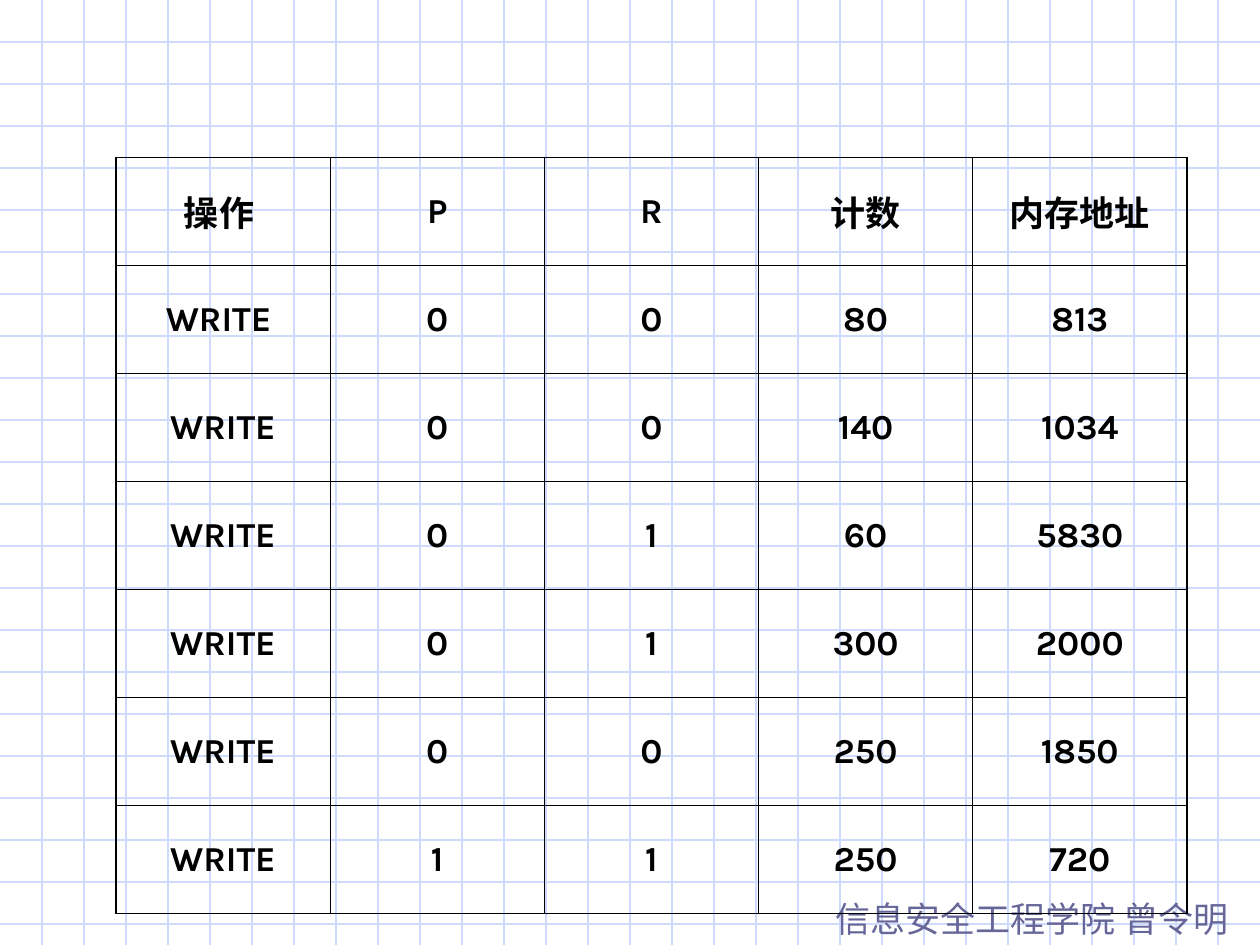
from lxml import etree
from pptx import Presentation
from pptx import util as u
from pptx.dml.color import RGBColor
from pptx.enum import shapes, text
from pptx.oxml import ns

GRID_BLUE = RGBColor(0xCF, 0xDB, 0xFD)
FOOTER_PURPLE = RGBColor(0x66, 0x66, 0x99)
BLACK = RGBColor(0, 0, 0)
WIDTH, HEIGHT = 10, 7.5
ROWS = [
    ["操作 ", "P", "R", "计数", "内存地址"],
    ["WRITE ", "0", "0", "80", "813"],
    ["WRITE", "0", "0", "140", "1034"],
    ["WRITE", "0", "1", "60", "5830"],
    ["WRITE", "0", "1", "300", "2000"],
    ["WRITE", "0", "0", "250", "1850"],
    ["WRITE", "1", "1", "250", "720"],
]


def write(para, words, color, **font_format):
    span = para.add_run()
    span.text = words
    span.font.color.rgb = color
    for name, value in font_format.items():
        setattr(span.font, name, value)
    east_asian = etree.SubElement(span.font._element, ns.qn("a:ea"))
    east_asian.set("typeface", "Noto Sans CJK JP")


def draw_border(cell, order, side, width):
    border = etree.Element(ns.qn(f"a:ln{side}"), w=str(u.Pt(width)))
    fill = etree.SubElement(border, ns.qn("a:solidFill"))
    etree.SubElement(fill, ns.qn("a:srgbClr"), val=str(BLACK))
    cell._tc.get_or_add_tcPr().insert(order, border)


deck = Presentation()
deck.slide_width, deck.slide_height = u.Inches(WIDTH), u.Inches(HEIGHT)
page = deck.slides.add_slide(deck.slide_layouts[6])

grid = page.shapes.add_group_shape()
grid_lines = [(0, step / 3, WIDTH, step / 3) for step in range(1, 23)]
grid_lines += [(step / 3, 0, step / 3, HEIGHT) for step in range(1, 30)]
for ends in grid_lines:
    line = grid.shapes.add_connector(
        shapes.MSO_CONNECTOR.STRAIGHT, *[u.Inches(end) for end in ends])
    line.line.color.rgb = GRID_BLUE
    line.line.width = u.Pt(0.75)
    etree.SubElement(line._element.spPr, ns.qn("a:effectLst"))

box = page.shapes.add_textbox(
    u.Inches(6.53), u.Inches(7.07), u.Inches(3.47), u.Inches(0.44))
box.text_frame.word_wrap = True
write(box.text_frame.paragraphs[0], "信息安全工程学院 曾令明", FOOTER_PURPLE,
      size=u.Pt(20), name="Noto Sans CJK JP")

table = page.shapes.add_table(
    len(ROWS), len(ROWS[0]),
    u.Inches(0.92), u.Inches(1.25), u.Inches(8.5), u.Inches(6)).table
for name, value in {"first_row": False, "horz_banding": False}.items():
    setattr(table, name, value)

last_row, last_column = len(ROWS) - 1, len(ROWS[0]) - 1
for row, entries in enumerate(ROWS):
    for column, entry in enumerate(entries):
        cell = table.cell(row, column)
        cell.fill.background()
        cell.vertical_anchor = text.MSO_ANCHOR.MIDDLE
        para = cell.text_frame.paragraphs[0]
        para.alignment = text.PP_ALIGN.CENTER
        write(para, entry, BLACK, size=u.Pt(20), name="Karla", bold=True)
        outer = {"L": column == 0, "R": column == last_column,
                 "T": row == 0, "B": row == last_row}
        for order, (side, is_outer) in enumerate(outer.items()):
            draw_border(cell, order, side, 1.08 if is_outer else 0.45)

deck.save("out.pptx")
